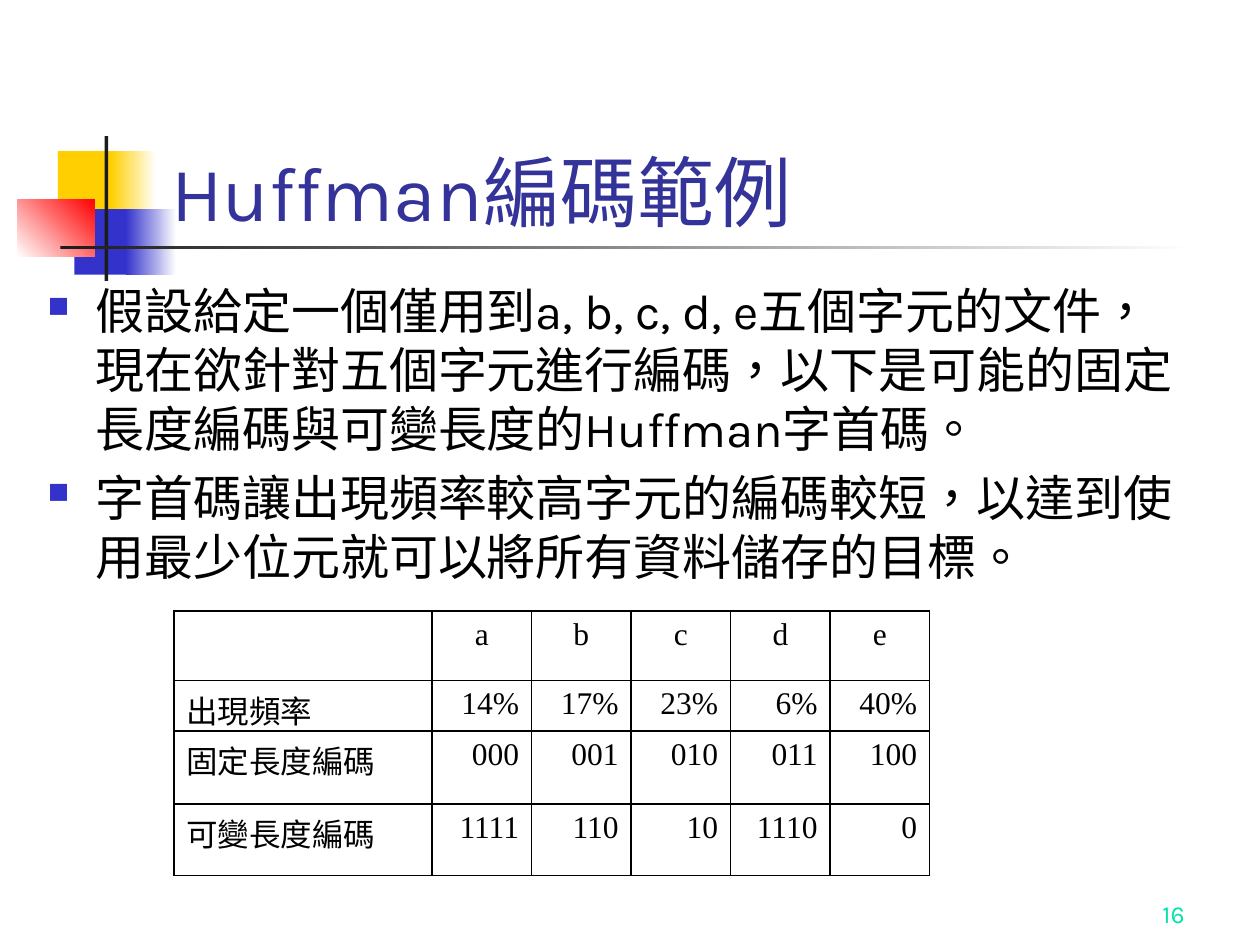
from lxml.etree import SubElement
from pptx import Presentation
from pptx.dml.color import RGBColor
from pptx.enum.lang import MSO_LANGUAGE_ID
from pptx.enum.shapes import MSO_SHAPE
from pptx.enum.text import MSO_ANCHOR, PP_ALIGN
from pptx.oxml.ns import qn
from pptx.util import Inches, Pt

WHITE = RGBColor(0xFF, 0xFF, 0xFF)
BLACK = RGBColor(0x00, 0x00, 0x00)
YELLOW = RGBColor(0xFF, 0xCF, 0x01)
BLUE = RGBColor(0x33, 0x33, 0xCC)
RED = RGBColor(0xFF, 0x00, 0x00)
DARK = RGBColor(0x1C, 0x1C, 0x1C)
NAVY = RGBColor(0x33, 0x33, 0x99)
GREEN = RGBColor(0x00, 0xE4, 0xA8)

TITLE = "Huffman編碼範例"
BULLETS = [
    "假設給定一個僅用到a, b, c, d, e五個字元的文件，現在欲針對五個字元進行編碼，以下是可能的固定長度編碼與可變長度的Huffman字首碼。",
    "字首碼讓出現頻率較高字元的編碼較短，以達到使用最少位元就可以將所有資料儲存的目標。",
]
PAGE_NUMBER = "16"
CODES = [
    ["", "a", "b", "c", "d", "e"],
    ["出現頻率", "14%", "17%", "23%", "6%", "40%"],
    ["固定長度編碼", "000", "001", "010", "011", "100"],
    ["可變長度編碼", "1111", "110", "10", "1110", "0"],
]
COL_WIDTHS = [2.05] + [0.79] * 5
ROW_HEIGHTS = [0.55, 0.32, 0.58, 0.57]
ORNAMENTS = [
    ((0.46, 1.2, 0.48, 0.52), [YELLOW], 0),
    ((0.88, 1.2, 0.36, 0.52), [YELLOW, WHITE], 0),
    ((0.59, 1.66, 0.46, 0.52), [BLUE], 0),
    ((1, 1.66, 0.4, 0.52), [BLUE, WHITE], 0),
    ((0.14, 1.58, 0.61, 0.46), [WHITE, RED], 45),
    ((0.83, 1.08, 0.03, 1.15), [DARK], 0),
    ((0.48, 1.95, 9, 0.03), [DARK, WHITE], 0),
]


def write(tf, text, size=18, font="Karla", color=BLACK, align=PP_ALIGN.LEFT,
          hanging=False, bullet=None, before=0):
    p = tf.paragraphs[0]
    if p.runs:
        p = tf.add_paragraph()
    p.alignment = align
    p.space_before = Pt(before)
    pPr = p._p.get_or_add_pPr()
    if hanging:
        pPr.set("marL", str(Inches(0.38)))
        pPr.set("indent", str(Inches(-0.38)))
    if bullet:
        SubElement(SubElement(pPr, qn("a:buClr")), qn("a:srgbClr")).set("val", str(BLUE))
        SubElement(pPr, qn("a:buSzPct")).set("val", "60000")
        SubElement(pPr, qn("a:buChar")).set("char", bullet)
    if text:
        r = p.add_run()
        r.text = text
        r.font.size = Pt(size)
        r.font.name = font
        r.font.color.rgb = color
        r.font.language_id = MSO_LANGUAGE_ID.TRADITIONAL_CHINESE


def add_box(slide, at, anchor=MSO_ANCHOR.TOP):
    tf = slide.shapes.add_textbox(*map(Inches, at)).text_frame
    tf.word_wrap = True
    tf.vertical_anchor = anchor
    return tf


def add_ornament(slide, at, colors, angle):
    sp = slide.shapes.add_shape(MSO_SHAPE.RECTANGLE, *map(Inches, at))
    sp.shadow.inherit = False
    sp.line.fill.background()
    if len(colors) == 1:
        sp.fill.solid()
        sp.fill.fore_color.rgb = colors[0]
    else:
        sp.fill.gradient()
        sp.fill.gradient_angle = angle
        for stop, color in zip(sp.fill.gradient_stops, colors):
            stop.color.rgb = color


def add_borders(cell):
    tcPr = cell._tc.get_or_add_tcPr()
    for side in ("L", "R", "T", "B"):
        ln = SubElement(tcPr, qn("a:ln" + side), w=str(Pt(1)))
        SubElement(SubElement(ln, qn("a:solidFill")), qn("a:srgbClr")).set("val", str(BLACK))


def add_code_table(slide):
    frame = slide.shapes.add_table(
        len(CODES), len(COL_WIDTHS), Inches(1.38), Inches(4.85),
        Inches(sum(COL_WIDTHS)), Inches(sum(ROW_HEIGHTS)))
    table = frame.table
    table.first_row = False
    table.horz_banding = False
    for col, width in zip(table.columns, COL_WIDTHS):
        col.width = Inches(width)
    for row, height in zip(table.rows, ROW_HEIGHTS):
        row.height = Inches(height)
    for i, values in enumerate(CODES):
        for j, text in enumerate(values):
            cell = table.cell(i, j)
            add_borders(cell)
            cell.fill.background()
            if j == 0:
                align = PP_ALIGN.LEFT
            else:
                align = PP_ALIGN.CENTER if i == 0 else PP_ALIGN.RIGHT
            write(cell.text_frame, text, font="Times New Roman", align=align, hanging=True)


def main():
    prs = Presentation()
    prs.slide_width, prs.slide_height = Inches(10), Inches(7.5)
    slide = prs.slides.add_slide(prs.slide_layouts[6])
    for at, colors, angle in ORNAMENTS:
        add_ornament(slide, at, colors, angle)
    title = add_box(slide, (1.26, 0.68, 8.52, 1.25), MSO_ANCHOR.BOTTOM)
    write(title, TITLE, size=44, color=NAVY)
    body = add_box(slide, (0.28, 2.18, 9.29, 1.25))
    for text in BULLETS:
        write(body, text, size=28, hanging=True, bullet="■", before=5.6)
    add_code_table(slide)
    number = add_box(slide, (7.42, 6.92, 2.08, 0.5), MSO_ANCHOR.BOTTOM)
    write(number, PAGE_NUMBER, size=14, color=GREEN, align=PP_ALIGN.RIGHT)
    prs.save("out.pptx")


if __name__ == "__main__":
    main()
